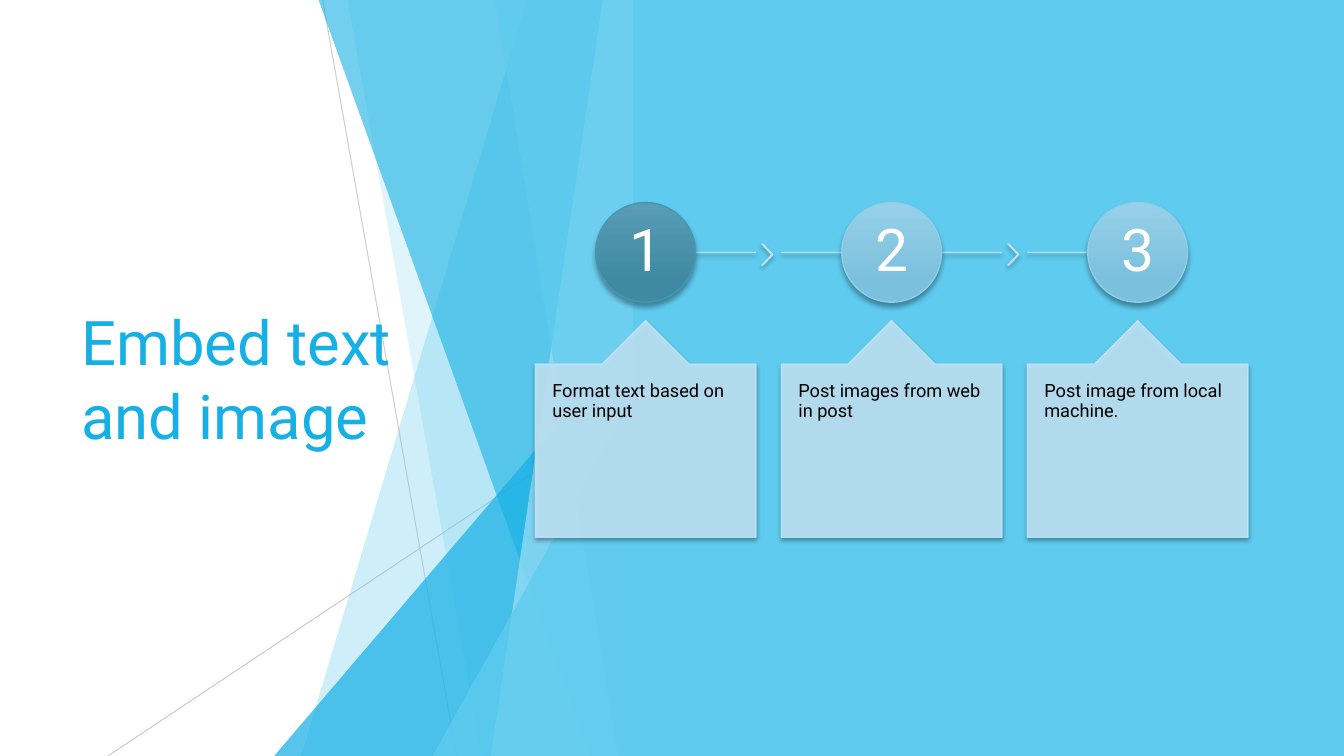
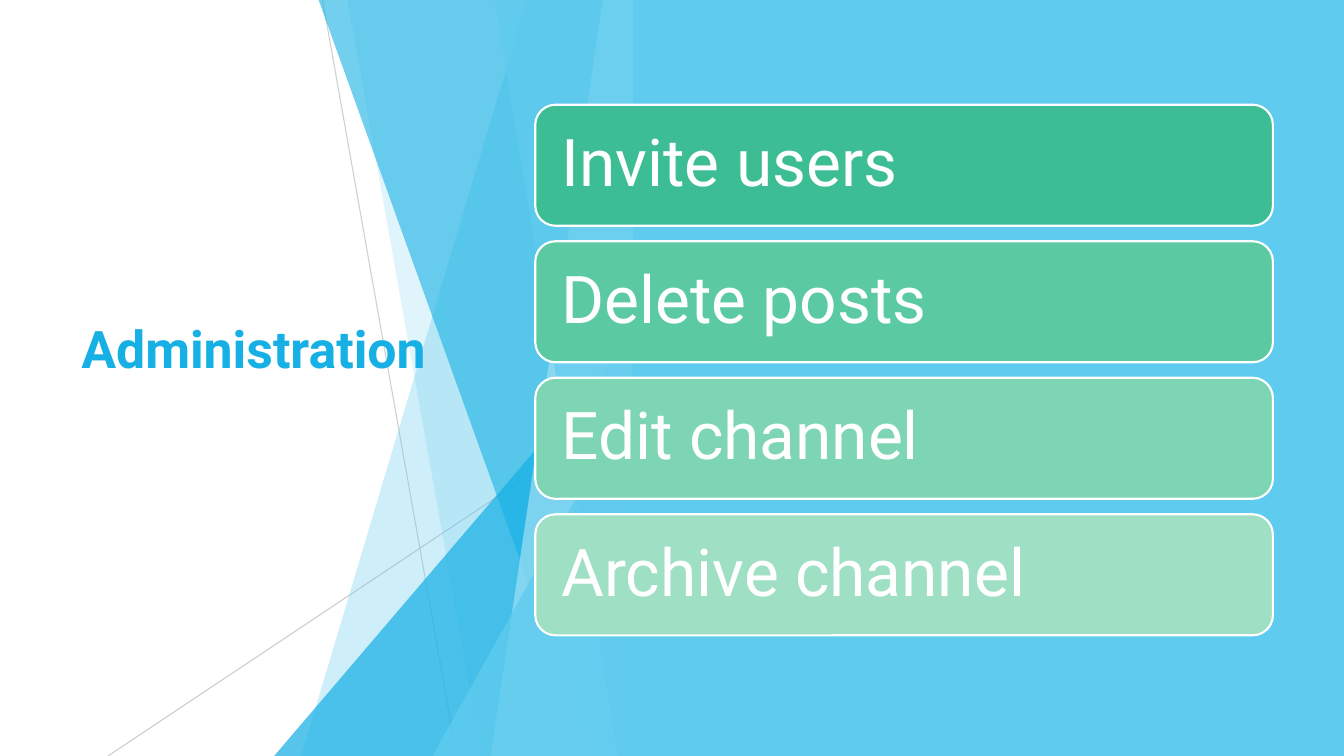
from pptx import Presentation
from pptx.dml.color import RGBColor
from pptx.enum import shapes, text
from pptx.oxml import parse_xml
from pptx.oxml.ns import nsdecls, qn
from pptx.util import Cm, Pt

WHITE = RGBColor(0xFF, 0xFF, 0xFF)
BLACK = RGBColor(0x00, 0x00, 0x00)
GRAY = RGBColor(0xBF, 0xBF, 0xBF)
SKY = RGBColor(0x5F, 0xCB, 0xEF)
BLUE = RGBColor(0x17, 0xB0, 0xE4)
PALE_SKY = RGBColor(0x9F, 0xE0, 0xF5)
CARD = RGBColor(0xBE, 0xE4, 0xF6)
ACTIVE_TOP = RGBColor(0x59, 0x9C, 0xB5)
ACTIVE_BOTTOM = RGBColor(0x40, 0x89, 0xA2)
ACTIVE_EDGE = RGBColor(0x46, 0x96, 0xB1)
IDLE_TOP = RGBColor(0x97, 0xD0, 0xE8)
IDLE_BOTTOM = RGBColor(0x7B, 0xC0, 0xDD)
IDLE_EDGE = RGBColor(0x90, 0xCE, 0xE7)
GREENS = (
    RGBColor(0x3C, 0xBD, 0x93),
    RGBColor(0x5B, 0xCA, 0xA3),
    RGBColor(0x7D, 0xD5, 0xB3),
    RGBColor(0x9F, 0xE0, 0xC5),
)

WIDTH, HEIGHT = 33.87, 19.05
PANEL_LEFT = 15.95
CONTENT_LEFT = 13.49
KIND = shapes.MSO_SHAPE


def set_opacity(container, percent):
    for color in container.iter(qn("a:srgbClr")):
        color.append(parse_xml(f'<a:alpha {nsdecls("a")} val="{percent * 1000}"/>'))


def set_shadow(shape, blur=0, distance=0):
    """Replace the theme shadow; without a blur the shape has none."""
    shadow = ""
    if blur:
        shadow = (
            f'<a:outerShdw blurRad="{Pt(blur)}" dist="{Pt(distance)}" dir="5400000" '
            'rotWithShape="0"><a:srgbClr val="000000"><a:alpha val="35000"/>'
            "</a:srgbClr></a:outerShdw>"
        )
    shape.element.spPr.append(
        parse_xml(f'<a:effectLst {nsdecls("a")}>{shadow}</a:effectLst>')
    )


class Deck:
    FONT = "Roboto"

    def __init__(self):
        self.presentation = Presentation()
        self.presentation.slide_width = Cm(WIDTH)
        self.presentation.slide_height = Cm(HEIGHT)
        self.slide = None

    def add_slide(self, title, **title_style):
        layout = self.presentation.slide_layouts[6]
        self.slide = self.presentation.slides.add_slide(layout)
        self.backdrop()
        self.title(title, **title_style)

    def backdrop(self):
        """Draw the facets on the left and the plain panel on the right."""
        self.line((8.13, 0), (11.51, HEIGHT), GRAY, 0.75, 75)
        self.line((PANEL_LEFT, 10.24), (2.72, HEIGHT), GRAY, 0.75, 80)
        self.facet(13.28, 7.59, SKY, 30)
        self.facet(8.76, 12.14, SKY, 20)
        self.wedge(6.91, 8.46, BLUE, 72)
        self.facet(8.03, 14.88, BLUE, 60)
        self.facet(15.19, 12.37, PALE_SKY, 70)
        self.facet(12.47, 15.57, SKY, 65)
        self.wedge(10.9, 9.98, SKY, 80)
        self.shape(KIND.RECTANGLE, (PANEL_LEFT, 0, WIDTH - PANEL_LEFT, HEIGHT), SKY)

    def title(self, words, size, top=3.84, bold=False):
        box = self.slide.shapes.add_textbox(Cm(1.8), Cm(top), Cm(9.86), Cm(11.38))
        self.label(box, words, size, BLUE, bold=bold, spacing=1.0,
                   anchor=text.MSO_ANCHOR.MIDDLE)

    def line(self, start, end, color, width, opacity, shadow=()):
        ends = [Cm(value) for value in (*start, *end)]
        line = self.slide.shapes.add_connector(shapes.MSO_CONNECTOR.STRAIGHT, *ends)
        line.line.color.rgb = color
        line.line.width = Pt(width)
        set_opacity(line.element.spPr, opacity)
        set_shadow(line, *shadow)

    def facet(self, top_x, bottom_x, color, opacity):
        """Fill from a slanted left edge to the edge of the panel."""
        corners = [(PANEL_LEFT, 0), (PANEL_LEFT, HEIGHT), (bottom_x, HEIGHT)]
        builder = self.slide.shapes.build_freeform(Cm(top_x), Cm(0))
        builder.add_line_segments([(Cm(x), Cm(y)) for x, y in corners], close=True)
        self.finish(builder.convert_to_shape(), color, opacity=opacity)

    def wedge(self, left, top, color, opacity):
        """Draw a triangle that rises to the edge of the panel."""
        box = (left, top, PANEL_LEFT - left, HEIGHT - top)
        self.shape(KIND.ISOSCELES_TRIANGLE, box, color, adjust=(1,), opacity=opacity)

    def shape(self, kind, box, color, adjust=(), **style):
        shape = self.slide.shapes.add_shape(kind, *[Cm(value) for value in box])
        for index, value in enumerate(adjust):
            shape.adjustments[index] = value
        return self.finish(shape, color, **style)

    def finish(self, shape, color, edge=None, width=1, opacity=100, shadow=()):
        """Set fill, outline and shadow; a pair of colors makes a gradient."""
        if isinstance(color, RGBColor):
            shape.fill.solid()
            shape.fill.fore_color.rgb = color
        else:
            shape.fill.gradient()
            shape.fill.gradient_angle = 270
            stops = shape.fill.gradient_stops
            for stop, shade, position in zip(stops, color, (0, 0.78)):
                stop.color.rgb = shade
                stop.position = position
        if edge is None:
            shape.line.fill.background()
        else:
            shape.line.color.rgb = edge
            shape.line.width = Pt(width)
        if opacity < 100:
            set_opacity(shape.element.spPr, opacity)
        set_shadow(shape, *shadow)
        return shape

    def label(self, shape, words, size, color, bold=False, spacing=0.9,
              align=text.PP_ALIGN.LEFT, anchor=text.MSO_ANCHOR.TOP, insets=(0.25, 0.13)):
        frame = shape.text_frame
        paragraph = frame.paragraphs[0]
        run = paragraph.add_run()
        run.text = words
        across, down = (Cm(inset) for inset in insets)
        formats = (
            (frame, {"word_wrap": True, "vertical_anchor": anchor,
                     "margin_left": across, "margin_right": across,
                     "margin_top": down, "margin_bottom": down}),
            (paragraph, {"alignment": align, "line_spacing": spacing}),
            (run.font, {"name": self.FONT, "size": Pt(size), "bold": bold}),
        )
        for target, values in formats:
            for name, value in values.items():
                setattr(target, name, value)
        run.font.color.rgb = color

    def steps(self, captions):
        """Draw numbered circles on a track, each above a callout card."""
        card_width, pitch, diameter, track_y = 5.56, 6.2, 2.51, 6.36
        glass = {"edge": CARD, "opacity": 90, "shadow": (3, 2)}
        for index, caption in enumerate(captions):
            left = CONTENT_LEFT + index * pitch
            right, center = left + card_width, left + card_width / 2
            first, last = index == 0, index == len(captions) - 1
            self.line((center if first else left, track_y),
                      (center if last else right, track_y), CARD, 1, 90, (3, 2))
            if not last:
                self.shape(KIND.CHEVRON, (right + 0.15, 6.15, 0.28, 0.53), CARD,
                           adjust=(0.9,), **glass)
            shades = (ACTIVE_TOP, ACTIVE_BOTTOM) if first else (IDLE_TOP, IDLE_BOTTOM)
            circle = self.shape(
                KIND.OVAL,
                (center - diameter / 2, track_y - diameter / 2, diameter, diameter),
                shades, edge=ACTIVE_EDGE if first else IDLE_EDGE, shadow=(4, 3))
            self.label(circle, str(index + 1), 42, WHITE, insets=(0.1, 0.1),
                       align=text.PP_ALIGN.CENTER, anchor=text.MSO_ANCHOR.MIDDLE)
            card = self.shape(KIND.UP_ARROW_CALLOUT, (left, 8.08, card_width, 5.46),
                              CARD, adjust=(0.5, 0.2, 0.2, 1), **glass)
            self.label(card, caption, 13, BLACK, insets=(0.43, 0.46))

    def bars(self, names):
        for index, (name, color) in enumerate(zip(names, GREENS)):
            bar = self.shape(KIND.ROUNDED_RECTANGLE,
                             (CONTENT_LEFT, 2.64 + index * 3.44, 18.59, 3.05),
                             color, edge=WHITE, width=1.5)
            self.label(bar, name, 47, WHITE, insets=(0.51, 0.51),
                       anchor=text.MSO_ANCHOR.MIDDLE)


def main():
    deck = Deck()
    deck.add_slide("Embed text and image", size=44)
    deck.steps((
        "Format text based on user input",
        "Post images from web in post",
        "Post image from local machine.",
    ))
    deck.add_slide("Administration", size=37, top=3.08, bold=True)
    deck.bars(("Invite users", "Delete posts", "Edit channel", "Archive channel"))
    deck.presentation.save("out.pptx")


if __name__ == "__main__":
    main()
